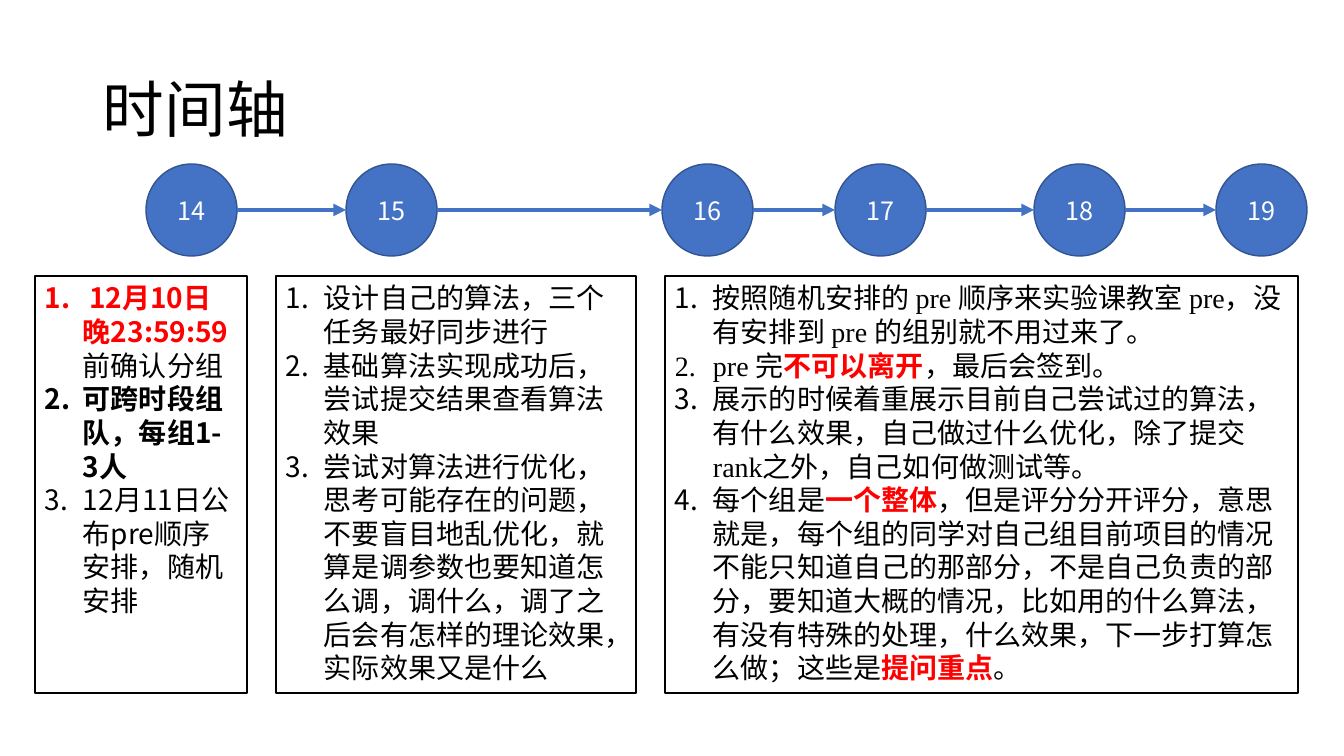
from itertools import pairwise

from lxml import etree
from pptx import Presentation
from pptx.dml.color import RGBColor
from pptx.enum.shapes import MSO_CONNECTOR, MSO_SHAPE
from pptx.enum.text import MSO_ANCHOR, PP_ALIGN
from pptx.oxml.ns import qn
from pptx.util import Pt

STRAIGHT = MSO_CONNECTOR.STRAIGHT
ELLIPSE = MSO_SHAPE.OVAL
CENTER = PP_ALIGN.CENTER
MIDDLE = MSO_ANCHOR.MIDDLE
TOP = MSO_ANCHOR.TOP

BLACK = RGBColor(0x00, 0x00, 0x00)
WHITE = RGBColor(0xFF, 0xFF, 0xFF)
RED = RGBColor(0xFF, 0x00, 0x00)
BLUE = RGBColor(0x44, 0x72, 0xC4)
DARK_BLUE = RGBColor(0x32, 0x54, 0x91)

SANS = "Noto Sans CJK SC"
SERIF = "Times New Roman"

PLAIN = {"name": SANS, "bold": False}
BOLD = {"name": SANS, "bold": True}
LATIN = {"name": SERIF, "bold": False}
KEY = {"name": SANS, "bold": True, "color": RED}

EMU_PER_PX = 914400 / 100.8
SLIDE_WIDTH, SLIDE_HEIGHT = 1344, 756
WEEK_TOP, WEEK_WIDTH, WEEK_HEIGHT = 164, 91, 92
TASKS_TOP, TASKS_HEIGHT = 276, 417

WEEKS = [("14", 146), ("15", 346), ("16", 662), ("17", 835), ("18", 1034), ("19", 1216)]

# Each panel: left, width, numbered items made of (text, format) runs
PANELS = [
    (35, 212, [
        [(" 12月10日晚23:59:59", KEY), ("前确认分组", PLAIN)],
        [("可跨时段组队，每组1-3人", BOLD)],
        [("12月11日公布pre顺序安排，随机安排", PLAIN)],
    ]),
    (276, 360, [
        [("设计自己的算法，三个任务最好同步进行", PLAIN)],
        [("基础算法实现成功后，尝试提交结果查看算法效果", PLAIN)],
        [("尝试对算法进行优化，思考可能存在的问题，不要盲目地乱优化，就算是调参数"
          "也要知道怎么调，调什么，调了之后会有怎样的理论效果，实际效果又是什么", PLAIN)],
    ]),
    (665, 633, [
        [("按照随机安排的 ", PLAIN), ("pre ", LATIN), ("顺序来实验课教室 ", PLAIN),
         ("pre", LATIN), ("，没有安排到 ", PLAIN), ("pre ", LATIN),
         ("的组别就不用过来了。", PLAIN)],
        [("pre ", LATIN), ("完", PLAIN), ("不可以离开", KEY), ("，最后会签到。", PLAIN)],
        [("展示的时候着重展示目前自己尝试过的算法，有什么效果，自己做过什么优化，除了提交",
          PLAIN), ("rank", LATIN), ("之外，自己如何做测试等。", PLAIN)],
        [("每个组是", PLAIN), ("一个整体", KEY),
         ("，但是评分分开评分，意思就是，每个组的同学对自己组目前项目的情况不能只知道"
          "自己的那部分，不是自己负责的部分，要知道大概的情况，比如用的什么算法，"
          "有没有特殊的处理，什么效果，下一步打算怎么做；这些是", PLAIN),
         ("提问重点", KEY), ("。", PLAIN)],
    ]),
]


def px(length):
    return round(length * EMU_PER_PX)


class TimelineSlide:
    def __init__(self, slide):
        self.shapes = slide.shapes
        self.hanging = px(38)

    def add_text(self, paragraph, text, size, style, color=BLACK):
        run = paragraph.add_run()
        run.text = text
        font_format = {"size": Pt(size), **style}
        run.font.color.rgb = font_format.pop("color", color)
        for attribute, value in font_format.items():
            setattr(run.font, attribute, value)
        east_asian = etree.SubElement(run.font._element, qn("a:ea"))
        east_asian.set("typeface", SANS)

    def outline(self, shape, fill, line):
        shape.fill.solid()
        shape.fill.fore_color.rgb = fill
        shape.line.color.rgb = line
        shape.line.width = Pt(1)

    def title(self, text, left, top, width, height):
        heading = self.shapes.add_textbox(px(left), px(top), px(width), px(height))
        frame = heading.text_frame
        frame.word_wrap = True
        frame.vertical_anchor = MIDDLE
        frame.paragraphs[0].line_spacing = 0.9
        self.add_text(frame.paragraphs[0], text, 44, PLAIN)

    def week(self, number, left):
        circle = self.shapes.add_shape(
            ELLIPSE, px(left), px(WEEK_TOP), px(WEEK_WIDTH), px(WEEK_HEIGHT))
        circle.shadow.inherit = False
        self.outline(circle, BLUE, DARK_BLUE)
        circle.text_frame.vertical_anchor = MIDDLE
        paragraph = circle.text_frame.paragraphs[0]
        paragraph.alignment = CENTER
        self.add_text(paragraph, number, 18, PLAIN, WHITE)

    def arrow(self, start, end, y):
        arrow = self.shapes.add_connector(STRAIGHT, px(start), px(y), px(end), px(y))
        arrow.line.color.rgb = BLUE
        arrow.line.width = Pt(3)
        line = arrow.line._get_or_add_ln()
        etree.SubElement(line, qn("a:tailEnd")).set("type", "triangle")
        etree.SubElement(arrow._element.spPr, qn("a:effectLst"))

    def number(self, paragraph):
        """Give the paragraph an automatic number with a hanging indent."""
        properties = paragraph._p.get_or_add_pPr()
        properties.set("marL", str(self.hanging))
        properties.set("indent", str(-self.hanging))
        etree.SubElement(properties, qn("a:buFont")).set("typeface", "+mj-lt")
        etree.SubElement(properties, qn("a:buAutoNum")).set("type", "arabicPeriod")

    def tasks(self, left, width, items):
        panel = self.shapes.add_textbox(
            px(left), px(TASKS_TOP), px(width), px(TASKS_HEIGHT))
        self.outline(panel, WHITE, BLACK)
        frame = panel.text_frame
        frame.word_wrap = True
        frame.vertical_anchor = TOP
        for index, runs in enumerate(items):
            paragraph = frame.add_paragraph() if index else frame.paragraphs[0]
            paragraph.line_spacing = Pt(24)
            self.number(paragraph)
            for text, style in runs:
                self.add_text(paragraph, text, 20, style)


def main():
    presentation = Presentation()
    presentation.slide_width = px(SLIDE_WIDTH)
    presentation.slide_height = px(SLIDE_HEIGHT)
    blank = presentation.slide_layouts[6]
    timeline = TimelineSlide(presentation.slides.add_slide(blank))

    timeline.title("时间轴", 93, 40, 1159, 146)
    for number, left in WEEKS:
        timeline.week(number, left)
    for (_, left), (_, next_left) in pairwise(WEEKS):
        timeline.arrow(left + WEEK_WIDTH, next_left, WEEK_TOP + WEEK_HEIGHT // 2)
    for left, width, items in PANELS:
        timeline.tasks(left, width, items)

    presentation.save("out.pptx")


if __name__ == "__main__":
    main()
